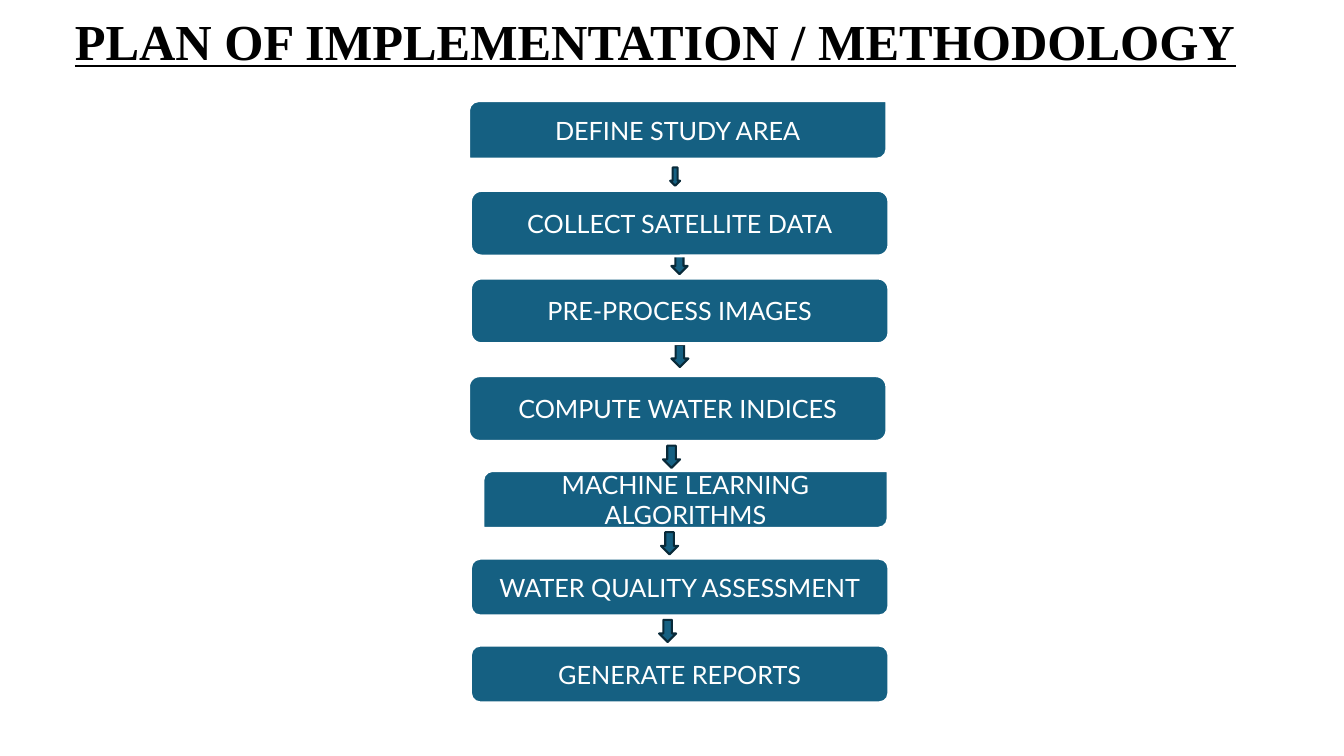
from pptx import Presentation
from pptx.dml.color import RGBColor
from pptx.enum.shapes import MSO_SHAPE as Preset
from pptx.enum.text import MSO_ANCHOR as Anchor, PP_ALIGN as Align
from pptx.util import Cm, Pt

TEAL = RGBColor(0x15, 0x60, 0x82)
NAVY = RGBColor(0x09, 0x2A, 0x39)
WHITE = RGBColor(0xFF, 0xFF, 0xFF)
BLACK = RGBColor(0, 0, 0)

HEADING = "PLAN OF IMPLEMENTATION / METHODOLOGY"
HEADING_AREA = (1.63, 0.13, 29.77, 3.33)
ROUND, DIAGONAL = Preset.ROUNDED_RECTANGLE, Preset.ROUND_2_DIAG_RECTANGLE

STEPS = [
    ("DEFINE STUDY AREA", DIAGONAL, (11.81, 2.54, 10.54, 1.47)),
    ("COLLECT SATELLITE DATA", ROUND, (11.86, 4.8, 10.54, 1.65)),
    ("PRE-PROCESS IMAGES", ROUND, (11.86, 7.01, 10.54, 1.65)),
    ("COMPUTE WATER INDICES", ROUND, (11.81, 9.47, 10.54, 1.65)),
    ("MACHINE LEARNING ALGORITHMS", DIAGONAL, (12.17, 11.86, 10.21, 1.45)),
    ("WATER QUALITY ASSESSMENT", ROUND, (11.86, 14.07, 10.54, 1.45)),
    ("GENERATE REPORTS", ROUND, (11.86, 16.26, 10.54, 1.45)),
]
ARROWS = [
    (16.89, 4.22, 0.25, 0.46),
    (16.92, 6.45, 0.41, 0.46),
    (16.92, 8.69, 0.43, 0.56),
    (16.71, 11.23, 0.43, 0.56),
    (16.66, 13.41, 0.43, 0.56),
    (16.61, 15.62, 0.43, 0.56),
]
HEADING_FONT = {"name": "Times New Roman", "size": Pt(36), "bold": True, "underline": True}
STEP_FONT = {"name": "Lato", "size": Pt(18)}


def add_block(slide, preset, area, edge, weight):
    block = slide.shapes.add_shape(preset, *map(Cm, area))
    block.shadow.inherit = False
    block.fill.solid()
    block.fill.fore_color.rgb = TEAL
    block.line.color.rgb = edge
    block.line.width = Pt(weight)
    return block


def write(frame, words, font_values, color):
    line = frame.paragraphs[0]
    line.alignment = Align.CENTER
    run = line.add_run()
    run.text = words
    for key, value in font_values.items():
        setattr(run.font, key, value)
    run.font.color.rgb = color


def main():
    deck = Presentation()
    deck.slide_width, deck.slide_height = Cm(33.87), Cm(19.05)
    slide = deck.slides.add_slide(deck.slide_layouts[6])

    for area in ARROWS:
        add_block(slide, Preset.DOWN_ARROW, area, NAVY, 1.5)

    heading = slide.shapes.add_textbox(*map(Cm, HEADING_AREA)).text_frame
    heading.word_wrap = False
    write(heading, HEADING, HEADING_FONT, BLACK)

    for label, preset, area in STEPS:
        step = add_block(slide, preset, area, WHITE, 2).text_frame
        step.word_wrap = True
        step.vertical_anchor = Anchor.MIDDLE
        write(step, label, STEP_FONT, WHITE)

    deck.save("out.pptx")


if __name__ == "__main__":
    main()
